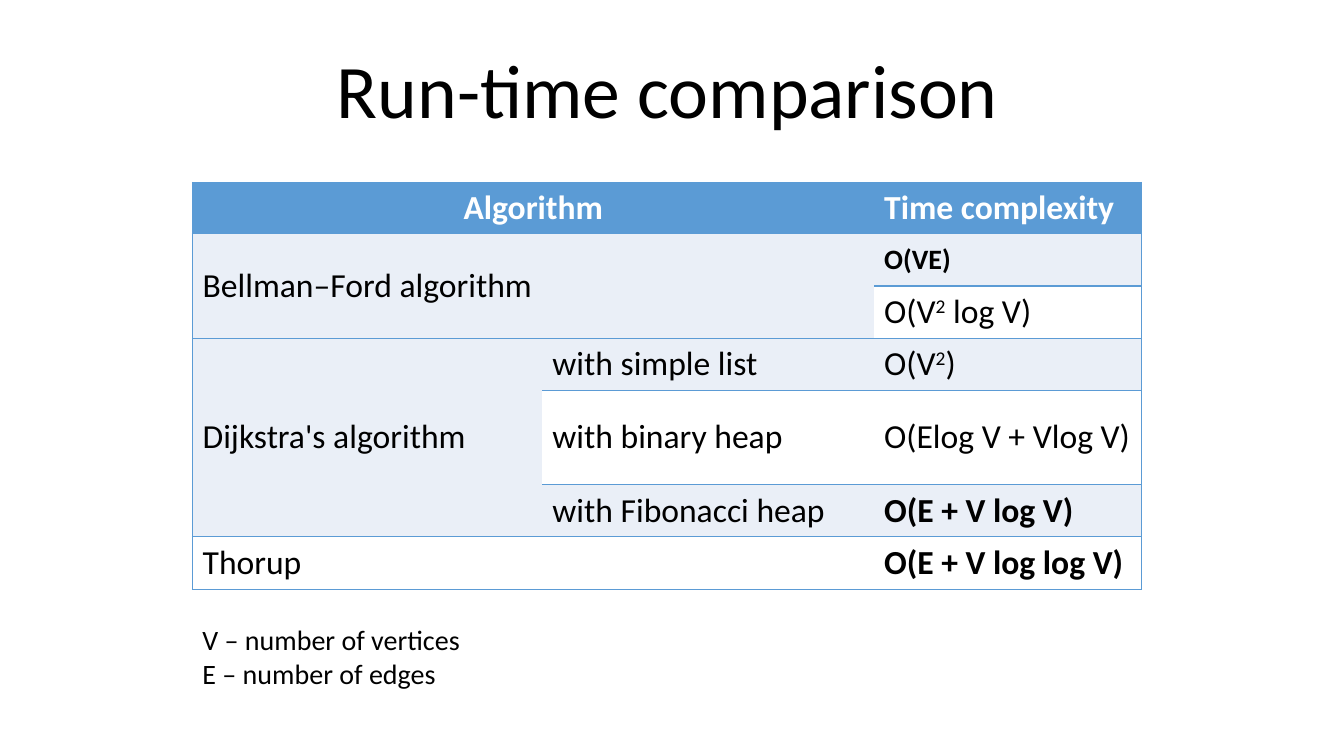
from lxml import etree
from pptx import Presentation
from pptx.dml.color import RGBColor
from pptx.enum.text import MSO_ANCHOR, PP_ALIGN
from pptx.oxml.ns import qn
from pptx.util import Inches, Pt

CENTER, LEFT = PP_ALIGN.CENTER, PP_ALIGN.LEFT
MIDDLE, BOTTOM = MSO_ANCHOR.MIDDLE, MSO_ANCHOR.BOTTOM
BLACK = RGBColor(0x00, 0x00, 0x00)
WHITE = RGBColor(0xFF, 0xFF, 0xFF)
BLUE = RGBColor(0x5B, 0x9B, 0xD5)
PALE = RGBColor(0xEA, 0xEF, 0xF7)
FONT = "Calibri"

TITLE = "Run-time comparison"
LEGEND = ["V – number of vertices", "E – number of edges"]
COLS = [3.47, 3.29, 2.65]
ROWS = [0.49, 0.52, 0.52, 0.52, 0.93, 0.52, 0.52]
# row, column, row span, column span, runs, size, bold
CELLS = [
    (0, 0, 1, 2, ["Algorithm"], 24, True),
    (0, 2, 1, 1, ["Time complexity"], 24, True),
    (1, 0, 2, 2, ["Bellman–Ford algorithm"], 24, False),
    (1, 2, 1, 1, ["O(VE)"], 20, True),
    (2, 2, 1, 1, ["O(V", "2", " log V)"], 24, False),
    (3, 0, 3, 1, ["Dijkstra's algorithm"], 24, False),
    (3, 1, 1, 1, ["with simple list"], 24, False),
    (3, 2, 1, 1, ["O(V", "2", ")"], 24, False),
    (4, 1, 1, 1, ["with binary heap"], 24, False),
    (4, 2, 1, 1, ["O(Elog V + Vlog V)"], 24, False),
    (5, 1, 1, 1, ["with Fibonacci heap"], 24, False),
    (5, 2, 1, 1, ["O(E + V log V)"], 24, True),
    (6, 0, 1, 2, ["Thorup"], 24, False),
    (6, 2, 1, 1, ["O(E + V log log V)"], 24, True),
]


def add_run(p, text, size, color=BLACK, bold=False):
    r = p.add_run()
    r.text = text
    r.font.name = FONT
    r.font.size = Pt(size)
    r.font.bold = bold
    r.font.color.rgb = color
    return r


def set_borders(cell, edges):
    tcPr = cell._tc.get_or_add_tcPr()
    for side, visible in edges.items():
        ln = etree.SubElement(tcPr, qn(f"a:ln{side}"), w=str(Pt(1)))
        if visible:
            fill = etree.SubElement(ln, qn("a:solidFill"))
            etree.SubElement(fill, qn("a:srgbClr"), val=str(BLUE))
        else:
            etree.SubElement(ln, qn("a:noFill"))


def fill_table(table):
    for row, col, height, width, runs, size, bold in CELLS:
        cell = table.cell(row, col)
        if height * width > 1:
            cell.merge(table.cell(row + height - 1, col + width - 1))
        background = BLUE if row == 0 else PALE if row % 2 else WHITE
        for i in range(row, row + height):
            for j in range(col, col + width):
                part = table.cell(i, j)
                set_borders(part, {
                    "L": j == 0,
                    "R": j == len(COLS) - 1,
                    "T": i == row,
                    "B": i == row + height - 1,
                })
                part.fill.solid()
                part.fill.fore_color.rgb = background
        cell.vertical_anchor = MIDDLE
        p = cell.text_frame.paragraphs[0]
        p.alignment = CENTER if (row, col) == (0, 0) else LEFT
        for k, text in enumerate(runs):
            r = add_run(p, text, size, BLACK if row else WHITE, bold)
            if k == 1:
                r.font._element.set("baseline", "30000")


def main():
    prs = Presentation()
    prs.slide_width, prs.slide_height = Inches(13.33), Inches(7.5)
    s = prs.slides.add_slide(prs.slide_layouts[5])

    title = s.shapes.title
    title.left, title.top = Inches(1.62), Inches(0.45)
    title.width, title.height = Inches(10), Inches(0.94)
    title.text_frame.vertical_anchor = BOTTOM
    p = title.text_frame.paragraphs[0]
    p.alignment = CENTER
    p.line_spacing = 0.9
    add_run(p, TITLE, 54)

    frame = s.shapes.add_table(len(ROWS), len(COLS), Inches(1.91), Inches(1.81),
                               Inches(sum(COLS)), Inches(sum(ROWS)))
    table = frame.table
    table.first_row = table.horz_banding = False
    for column, width in zip(table.columns, COLS):
        column.width = Inches(width)
    for row, height in zip(table.rows, ROWS):
        row.height = Inches(height)
    fill_table(table)

    legend = s.shapes.add_textbox(Inches(1.91), Inches(6.13), Inches(5.06), Inches(0.77))
    tf = legend.text_frame
    tf.word_wrap = True
    for i, line in enumerate(LEGEND):
        p = tf.add_paragraph() if i else tf.paragraphs[0]
        add_run(p, line, 20)

    prs.save("out.pptx")


if __name__ == "__main__":
    main()
